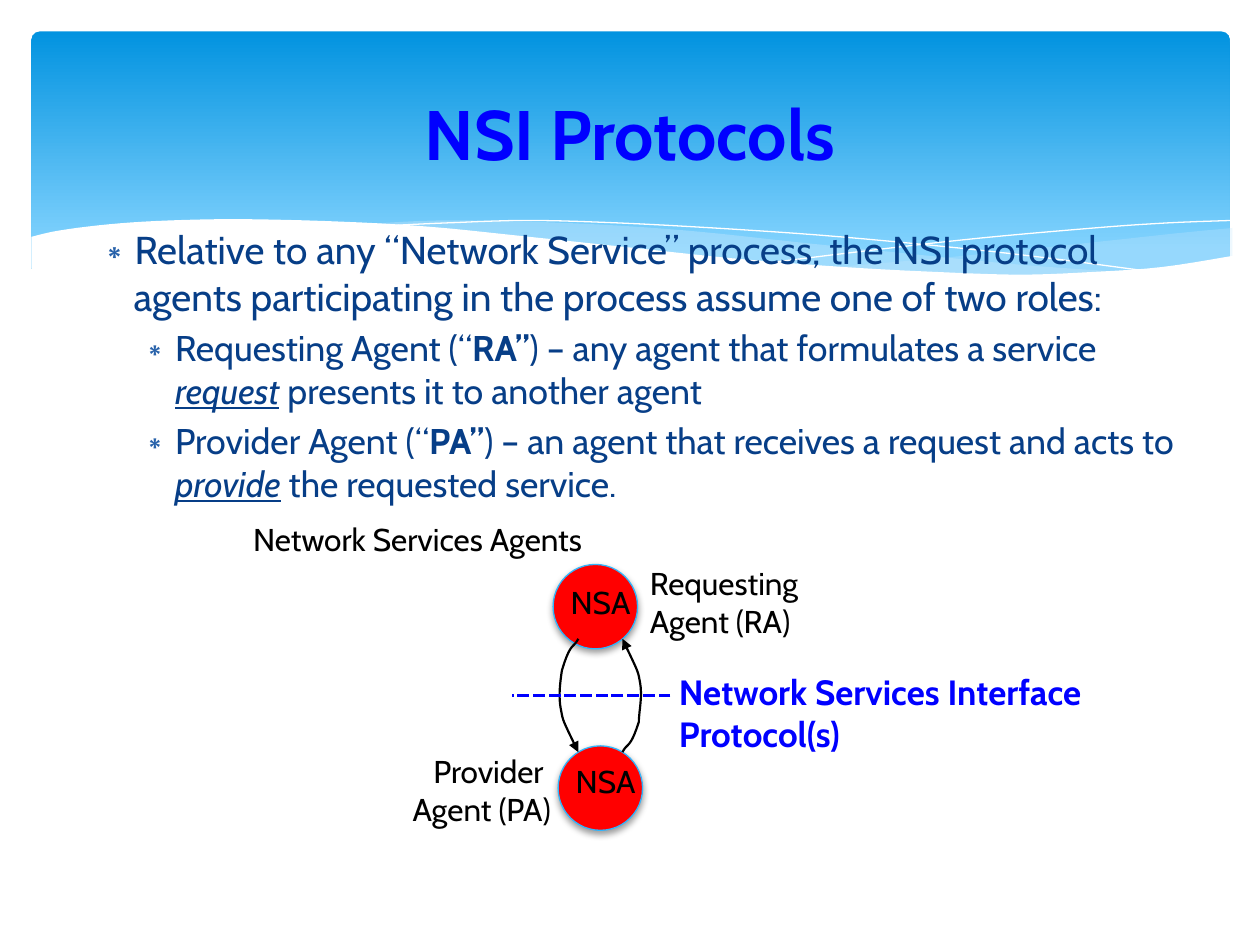
from lxml.etree import SubElement
from pptx import Presentation
from pptx.dml.color import RGBColor
from pptx.enum.dml import MSO_LINE
from pptx.enum.shapes import MSO_CONNECTOR, MSO_SHAPE
from pptx.enum.text import MSO_ANCHOR, MSO_AUTO_SIZE, PP_ALIGN
from pptx.oxml.ns import qn
from pptx.util import Inches, Pt

BLUE = RGBColor(0x00, 0x00, 0xFF)
NAVY = RGBColor(0x07, 0x3E, 0x87)
BULLET = RGBColor(0x28, 0x62, 0xAA)
SKY = RGBColor(0x02, 0x93, 0xE0)
PALE_SKY = RGBColor(0x83, 0xD3, 0xFE)
MIST = RGBColor(0xC6, 0xE7, 0xFC)
EDGE = RGBColor(0x31, 0xB6, 0xFD)
RED = RGBColor(0xFF, 0x00, 0x00)
BLACK = RGBColor(0x00, 0x00, 0x00)
WHITE = RGBColor(0xFF, 0xFF, 0xFF)

# Wave edges, in inches
RIGHT_TOP = [(9.78, 1.81), (9.36, 1.85), (8.62, 1.93), (7.55, 2.04), (6.63, 2.12)]
RIGHT_BOTTOM = [(6.63, 2.12), (7.2, 2.16), (7.83, 2.18), (8.46, 2.18),
                (8.99, 2.15), (9.37, 2.1), (9.78, 2.04)]
MIDDLE_TOP = [(8.94, 2.16), (8.09, 2.1), (7.08, 2), (6.31, 1.92), (5.56, 1.84),
              (4.9, 1.79), (4.22, 1.76), (3.46, 1.75), (2.88, 1.78)]
MIDDLE_BOTTOM = [(2.88, 1.78), (3.64, 1.83), (4.51, 1.92), (5.68, 2.04), (6.52, 2.12),
                 (7.24, 2.16), (7.98, 2.18), (8.5, 2.18), (8.94, 2.16)]
FALLING_LINE = [(3.11, 1.79), (3.54, 1.77), (4.18, 1.75), (4.91, 1.77), (5.83, 1.82),
                (6.67, 1.88), (7.62, 1.97), (8.33, 2.05), (9.09, 2.15)]
RISING_LINE = [(6.15, 2.08), (6.97, 1.98), (7.78, 1.89), (8.68, 1.81),
               (9.26, 1.77), (9.77, 1.75)]
WHITE_TOP = [(9.79, 2.03), (9.22, 2.12), (8.65, 2.16), (8.1, 2.18), (7.46, 2.16),
             (6.7, 2.12), (5.81, 2.05), (5.05, 1.97), (4.2, 1.88), (3.41, 1.8),
             (2.72, 1.76), (1.95, 1.74), (1.34, 1.75), (0.87, 1.78), (0.47, 1.83),
             (0.25, 1.88)]

# Arrow curves: a start, then control, control, end for each piece
UP_CURVE = [(4.94, 5.97), (4.98, 5.89), (5, 5.95), (5.07, 5.73), (5.07, 5.65),
            (5.1, 5.53), (5.08, 5.42), (5.06, 5.31), (5.07, 5.35), (4.94, 5.07)]
DOWN_CURVE = [(4.59, 5.07), (4.55, 5.15), (4.53, 5.09), (4.46, 5.32), (4.45, 5.39),
              (4.43, 5.52), (4.45, 5.62), (4.47, 5.73), (4.46, 5.7), (4.59, 5.97)]


def bezier(points, steps=10):
    """Sample a chain of cubic Bezier pieces."""
    out = [points[0]]
    for i in range(0, len(points) - 1, 3):
        piece = points[i:i + 4]
        for n in range(1, steps + 1):
            t = n / steps
            weights = ((1 - t) ** 3, 3 * t * (1 - t) ** 2, 3 * t * t * (1 - t), t ** 3)
            out.append(tuple(sum(w * pt[axis] for w, pt in zip(weights, piece))
                             for axis in (0, 1)))
    return out


def smooth(points):
    """Run a Catmull-Rom curve through the points."""
    padded = [points[0], *points, points[-1]]
    controls = [points[0]]
    for a, b, c, d in zip(padded, padded[1:], padded[2:], padded[3:]):
        controls += [(b[0] + (c[0] - a[0]) / 6, b[1] + (c[1] - a[1]) / 6),
                     (c[0] - (d[0] - b[0]) / 6, c[1] - (d[1] - b[1]) / 6), c]
    return bezier(controls, 5)


class SlideBuilder:
    def __init__(self, slide, font="Cabin"):
        self.s = slide
        self.font = font

    def run(self, p, text, size, color, bold=None, emphasis=None):
        r = p.add_run()
        r.text = text
        f = r.font
        f.name, f.size, f.bold = self.font, Pt(size), bold
        f.italic = f.underline = emphasis
        f.color.rgb = color

    def place(self, sp, x, y, w, h):
        """Position a placeholder and bring it in front of what is drawn so far."""
        sp.left, sp.top, sp.width, sp.height = (Inches(v) for v in (x, y, w, h))
        self.s.shapes._spTree.append(sp._element)
        sp.text_frame.auto_size = MSO_AUTO_SIZE.NONE
        return sp.text_frame

    def title(self, text, box):
        tf = self.place(self.s.shapes.title, *box)
        tf.vertical_anchor = MSO_ANCHOR.MIDDLE
        p = tf.paragraphs[0]
        p.alignment = PP_ALIGN.CENTER
        self.run(p, text, 40, BLUE, bold=True)

    def bullets(self, items, box):
        tf = self.place(self.s.placeholders[1], *box)
        for i, (level, runs) in enumerate(items):
            p = tf.paragraphs[0] if i == 0 else tf.add_paragraph()
            size = (22.2, 20.4)[level]
            p.level = level
            p.space_before = Pt(size * 0.2)
            pPr = p._p.get_or_add_pPr()
            pPr.set("marL", str(Inches((0.3, 0.63)[level])))
            pPr.set("indent", str(Inches(-0.3)))
            clr = SubElement(pPr, qn("a:buClr"))
            SubElement(clr, qn("a:srgbClr"), val=str(BULLET))
            SubElement(pPr, qn("a:buChar"), char="∗")
            for text, style in runs:
                self.run(p, text, size, NAVY, **style)

    def band(self, x, y, w, h):
        sp = self.s.shapes.add_shape(MSO_SHAPE.ROUNDED_RECTANGLE,
                                     Inches(x), Inches(y), Inches(w), Inches(h))
        sp.adjustments[0] = 0.034
        sp.shadow.inherit = False
        sp.line.fill.background()
        sp.fill.gradient()
        sp.fill.gradient_angle = 270
        for stop, color, position in zip(sp.fill.gradient_stops, (SKY, PALE_SKY), (0, 0.9)):
            stop.color.rgb, stop.position = color, position

    def outline(self, points, closed):
        pts = [(Inches(x), Inches(y)) for x, y in points]
        builder = self.s.shapes.build_freeform(*pts[0])
        builder.add_line_segments(pts[1:], close=closed)
        sp = builder.convert_to_shape()
        sp.shadow.inherit = False
        return sp

    def area(self, points, color, opacity=100):
        sp = self.outline(points, True)
        sp.line.fill.background()
        sp.fill.solid()
        sp.fill.fore_color.rgb = color
        if opacity < 100:
            clr = sp._element.spPr.find(".//" + qn("a:srgbClr"))
            SubElement(clr, qn("a:alpha"), val=str(opacity * 1000))

    def curve(self, points, color, width, arrow=False):
        sp = self.outline(points, False)
        sp.fill.background()
        sp.line.color.rgb = color
        sp.line.width = Pt(width)
        if arrow:
            SubElement(sp.line._get_or_add_ln(), qn("a:tailEnd"), type="triangle")

    def agent(self, x, y, d=0.67):
        sp = self.s.shapes.add_shape(MSO_SHAPE.OVAL, Inches(x), Inches(y), Inches(d), Inches(d))
        sp.fill.solid()
        sp.fill.fore_color.rgb = RED
        sp.line.color.rgb = EDGE
        sp.line.width = Pt(0.75)
        sp.shadow.inherit = False
        shadow = SubElement(sp._element.spPr.find(qn("a:effectLst")), qn("a:outerShdw"),
                            blurRad=str(Pt(4)), dist=str(Pt(2)), dir="5400000", rotWithShape="0")
        clr = SubElement(shadow, qn("a:srgbClr"), val=str(BLACK))
        SubElement(clr, qn("a:alpha"), val="38000")

    def label(self, lines, box, size=18, color=BLACK, bold=None, align=PP_ALIGN.LEFT):
        tf = self.s.shapes.add_textbox(*(Inches(v) for v in box)).text_frame
        tf.word_wrap = False
        tf.auto_size = MSO_AUTO_SIZE.SHAPE_TO_FIT_TEXT
        for i, text in enumerate(lines):
            p = tf.paragraphs[0] if i == 0 else tf.add_paragraph()
            p.alignment = align
            self.run(p, text, size, color, bold)

    def dashed_line(self, x1, x2, y):
        c = self.s.shapes.add_connector(MSO_CONNECTOR.STRAIGHT, Inches(x1), Inches(y),
                                        Inches(x2), Inches(y))
        c.line.color.rgb = BLUE
        c.line.width = Pt(2.25)
        c.line.dash_style = MSO_LINE.SQUARE_DOT
        SubElement(c._element.spPr, qn("a:effectLst"))


def main():
    prs = Presentation()
    prs.slide_width, prs.slide_height = Inches(10), Inches(7.5)
    b = SlideBuilder(prs.slides.add_slide(prs.slide_layouts[1]))

    b.band(0.25, 0.25, 9.51, 1.93)
    b.area(smooth(RIGHT_TOP) + smooth(RIGHT_BOTTOM), MIST, 29)
    b.area(smooth(MIDDLE_TOP) + smooth(MIDDLE_BOTTOM), MIST, 40)
    for points in (FALLING_LINE, RISING_LINE):
        b.curve(smooth(points), WHITE, 0)
    b.area(smooth(WHITE_TOP) + [(0.25, 2.42), (9.79, 2.42)], WHITE)

    bold, stressed = {"bold": True}, {"emphasis": True}
    b.bullets([
        (0, [("Relative to any “Network Service” process, the NSI protocol agents "
              "participating in the process assume one of two roles:", {})]),
        (1, [("Requesting Agent (“", {}), ("RA”", bold),
             (") – any agent that formulates a service ", {}),
             ("request", stressed), (" presents it to another agent", {})]),
        (1, [("Provider Agent (“", {}), ("PA”", bold),
             (") – an agent that receives a request and acts to ", {}),
             ("provide", stressed), (" the requested service.", {})]),
    ], (0.66, 1.74, 8.87, 2.16))
    b.title("NSI Protocols", (0.5, 0.37, 9, 1.37))

    b.agent(4.43, 5.92)
    b.agent(4.39, 4.48)
    b.label(["Requesting", "Agent (RA)"], (5.06, 4.43, 1.49, 0.71))
    for points in (UP_CURVE, DOWN_CURVE):
        b.curve(bezier(points), BLACK, 1.25, arrow=True)
    b.label(["Provider ", "Agent (PA)"], (3.17, 5.92, 1.3, 0.71), align=PP_ALIGN.RIGHT)
    b.dashed_line(5.32, 4.06, 5.52)
    b.label(["Network Services Interface", "Protocol(s)"], (5.29, 5.27, 3.47, 0.77),
            size=20, color=BLUE, bold=True)
    b.label(["NSA"], (4.47, 6, 0.72, 0.4))
    b.label(["Network Services Agents"], (1.91, 4.08, 2.88, 0.4))
    b.label(["NSA"], (4.43, 4.58, 0.72, 0.4))

    prs.save("out.pptx")


if __name__ == "__main__":
    main()
